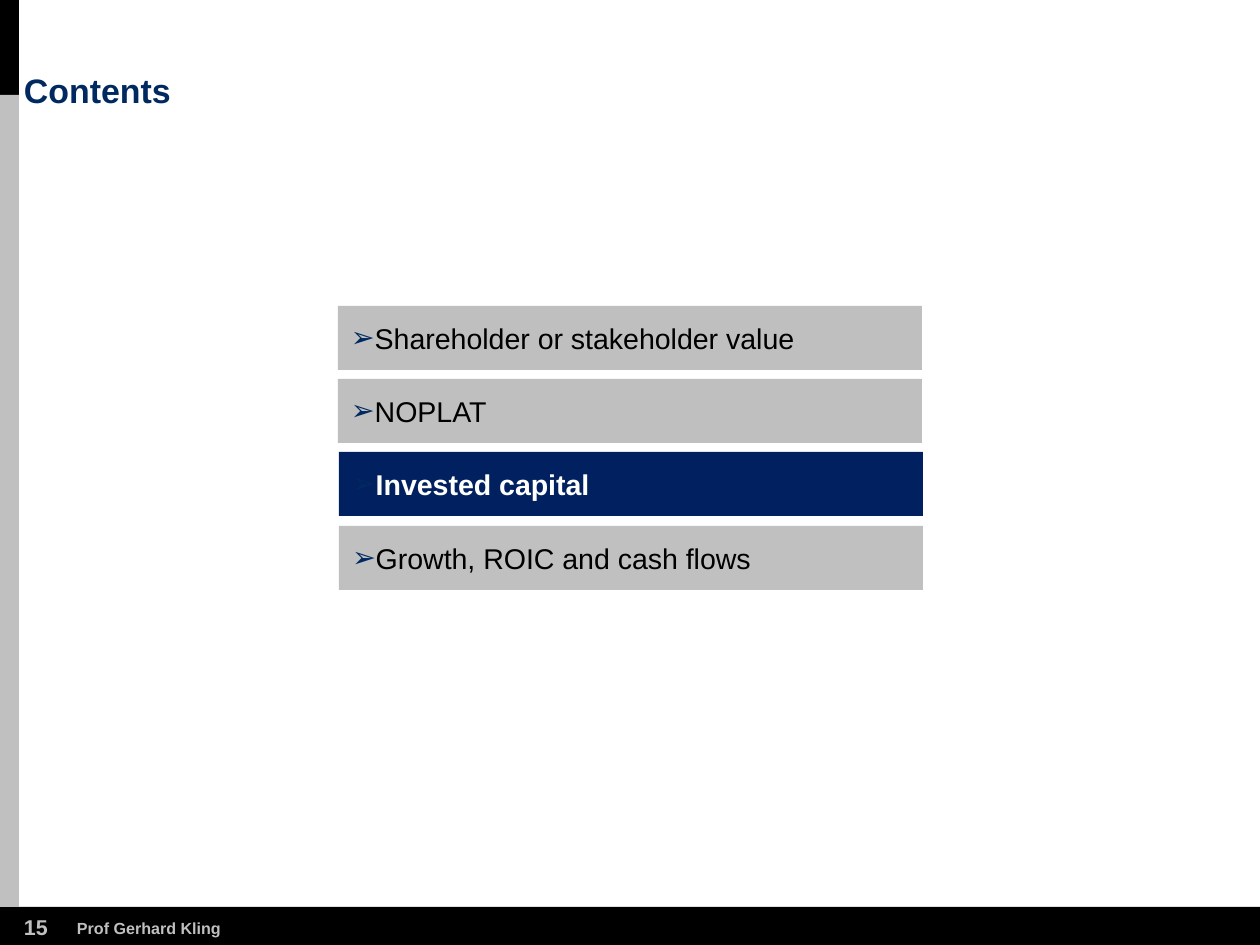
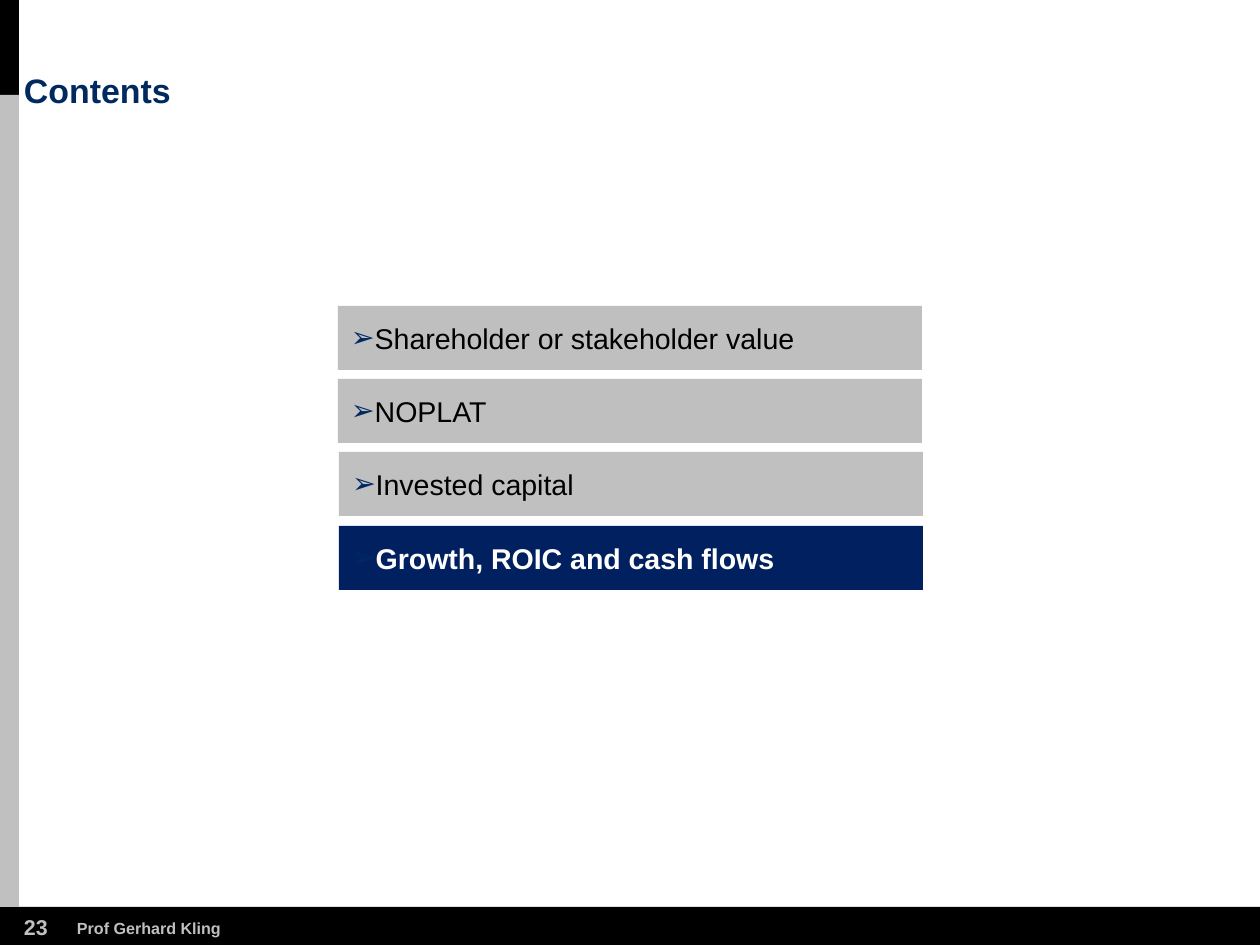
"""Build two contents slides, each highlighting the current chapter."""
import dataclasses

import lxml.etree
import pptx
import pptx.dml.color
import pptx.enum.shapes
import pptx.enum.text
import pptx.oxml.ns
import pptx.presentation
import pptx.shapes.autoshape
import pptx.shapes.base
import pptx.slide
import pptx.text.text
import pptx.util

EMU_PER_PX = 7112
SLIDE_WIDTH, SLIDE_HEIGHT = 1260, 945
FONT = "Arial"
COLOURS = {
    "black": "000000",
    "white": "FFFFFF",
    "title": "002960",
    "highlight": "002060",
    "bar": "BFBFBF",
    "silver": "C0C0C0",
}
SIDE_WIDTH, SIDE_SPLIT, FOOTER_TOP = 19, 95, 907
BAR_WIDTH, BAR_HEIGHT, FIRST_BAR_TOP, LAST_BAR_TOP = 584, 64, 306, 526
BAR_INSET, BULLET_INDENT = 13, 22


@dataclasses.dataclass(frozen=True)
class Box:
    left: int
    top: int
    width: int
    height: int

    def emu(self) -> tuple[int, ...]:
        return tuple(px(length) for length in dataclasses.astuple(self))


@dataclasses.dataclass(frozen=True)
class TextStyle:
    size: int
    colour: str
    bold: bool = True


@dataclasses.dataclass(frozen=True)
class Band:
    box: Box
    colour: str


@dataclasses.dataclass(frozen=True)
class Chapter:
    name: str
    left: int
    colour: str


@dataclasses.dataclass(frozen=True)
class ContentsSlide:
    number: int
    current: str


TITLE_BOX = Box(24, 75, 998, 36)
NUMBER_BOX = Box(24, 914, 26, 26)
AUTHOR_BOX = Box(77, 918, 145, 19)
TITLE_STYLE = TextStyle(19, "title")
NUMBER_STYLE = TextStyle(12, "silver")
AUTHOR_STYLE = TextStyle(9, "silver")
CHAPTER_STYLE = TextStyle(16, "black", bold=False)
CURRENT_STYLE = TextStyle(16, "white")

BANDS = (
    Band(Box(0, FOOTER_TOP, SLIDE_WIDTH, SLIDE_HEIGHT - FOOTER_TOP), "black"),
    Band(Box(0, 0, SIDE_WIDTH, SIDE_SPLIT), "black"),
    Band(Box(0, SIDE_SPLIT, SIDE_WIDTH, FOOTER_TOP - SIDE_SPLIT), "silver"),
)
CHAPTERS = (
    Chapter("Shareholder or stakeholder value", 338, "bar"),
    Chapter("NOPLAT", 338, "bar"),
    Chapter("Invested capital", 339, "silver"),
    Chapter("Growth, ROIC and cash flows", 339, "silver"),
)
SLIDES = (
    ContentsSlide(15, "Invested capital"),
    ContentsSlide(23, "Growth, ROIC and cash flows"),
)


def px(length: int) -> int:
    """Turn pixels into EMU."""
    return pptx.util.Emu(length * EMU_PER_PX)


def rgb(colour: str) -> pptx.dml.color.RGBColor:
    """Look up a named colour."""
    return pptx.dml.color.RGBColor.from_string(COLOURS[colour])


def write(shape: pptx.shapes.base.BaseShape, text: str, style: TextStyle,
          wrap: bool = False) -> pptx.text.text._Paragraph:
    """Put one left-aligned, styled paragraph into a shape without insets."""
    frame = shape.text_frame
    frame.margin_left = frame.margin_top = frame.margin_right = frame.margin_bottom = 0
    frame.word_wrap = wrap
    frame.auto_size = pptx.enum.text.MSO_AUTO_SIZE.NONE
    frame.text = text
    paragraph = frame.paragraphs[0]
    paragraph.alignment = pptx.enum.text.PP_ALIGN.LEFT
    paragraph.font.name = FONT
    paragraph.font.size = pptx.util.Pt(style.size)
    paragraph.font.bold = style.bold
    paragraph.font.color.rgb = rgb(style.colour)
    return paragraph


def add_bullet(paragraph: pptx.text.text._Paragraph) -> None:
    """Give a paragraph a hanging arrow bullet."""
    properties = paragraph._p.get_or_add_pPr()
    properties.set("marL", str(px(BULLET_INDENT)))
    properties.set("indent", str(-px(BULLET_INDENT)))
    qn = pptx.oxml.ns.qn
    colour = lxml.etree.Element(qn("a:buClr"))
    lxml.etree.SubElement(colour, qn("a:srgbClr"), val=COLOURS["title"])
    font = lxml.etree.Element(qn("a:buFont"), typeface=FONT)
    character = lxml.etree.Element(qn("a:buChar"), char="➢")
    for position, element in enumerate((colour, font, character)):
        properties.insert(position, element)


def add_rectangle(slide: pptx.slide.Slide, box: Box,
                  colour: str) -> pptx.shapes.autoshape.Shape:
    """Draw a plain filled rectangle."""
    shape = slide.shapes.add_shape(pptx.enum.shapes.MSO_SHAPE.RECTANGLE, *box.emu())
    shape.shadow.inherit = False
    shape.fill.solid()
    shape.fill.fore_color.rgb = rgb(colour)
    shape.line.fill.background()
    return shape


def move_bands_to_layout(slide: pptx.slide.Slide) -> None:
    """Draw the bands once and hand them to the shared layout."""
    for band in BANDS:
        shape = add_rectangle(slide, band.box, band.colour)
        slide.slide_layout.shapes.element.append(shape.element)


def add_title(slide: pptx.slide.Slide, text: str) -> None:
    """Place and format the title placeholder."""
    title = slide.shapes.title
    title.left, title.top, title.width, title.height = TITLE_BOX.emu()
    paragraph = write(title, text, TITLE_STYLE, wrap=True)
    paragraph.line_spacing = 0.9
    title.text_frame.vertical_anchor = pptx.enum.text.MSO_ANCHOR.BOTTOM


def add_footer(slide: pptx.slide.Slide, number: int) -> None:
    """Write the page number and the author on the footer band."""
    for box, text, style in ((NUMBER_BOX, str(number), NUMBER_STYLE),
                             (AUTHOR_BOX, "Prof Gerhard Kling", AUTHOR_STYLE)):
        write(slide.shapes.add_textbox(*box.emu()), text, style)


def add_chapters(slide: pptx.slide.Slide, current: str) -> None:
    """Stack the chapter bars evenly and highlight the current one."""
    for index, chapter in enumerate(CHAPTERS):
        top = FIRST_BAR_TOP + index * (LAST_BAR_TOP - FIRST_BAR_TOP) // (len(CHAPTERS) - 1)
        is_current = chapter.name == current
        bar = add_rectangle(slide, Box(chapter.left, top, BAR_WIDTH, BAR_HEIGHT),
                            "highlight" if is_current else chapter.colour)
        paragraph = write(bar, chapter.name,
                          CURRENT_STYLE if is_current else CHAPTER_STYLE, wrap=True)
        add_bullet(paragraph)
        bar.text_frame.margin_left = px(BAR_INSET)
        bar.text_frame.vertical_anchor = pptx.enum.text.MSO_ANCHOR.MIDDLE


def main() -> None:
    """Build and save the presentation."""
    presentation = pptx.Presentation()
    presentation.slide_width, presentation.slide_height = px(SLIDE_WIDTH), px(SLIDE_HEIGHT)
    layout = presentation.slide_layouts.get_by_name("Title Only")
    for content in SLIDES:
        slide = presentation.slides.add_slide(layout)
        if content is SLIDES[0]:
            move_bands_to_layout(slide)
        add_title(slide, "Contents")
        add_footer(slide, content.number)
        add_chapters(slide, content.current)
    presentation.save("out.pptx")


if __name__ == "__main__":
    main()
